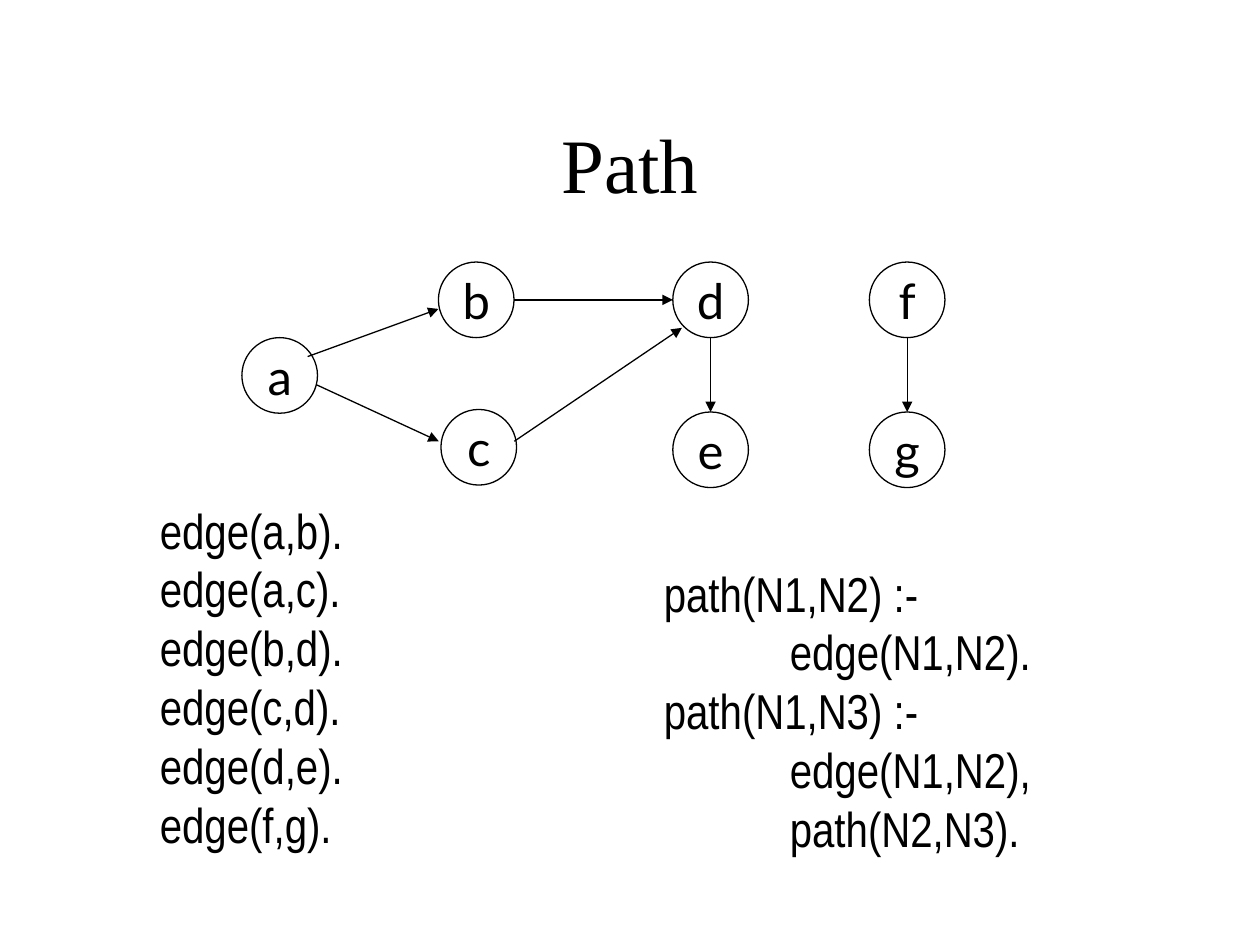
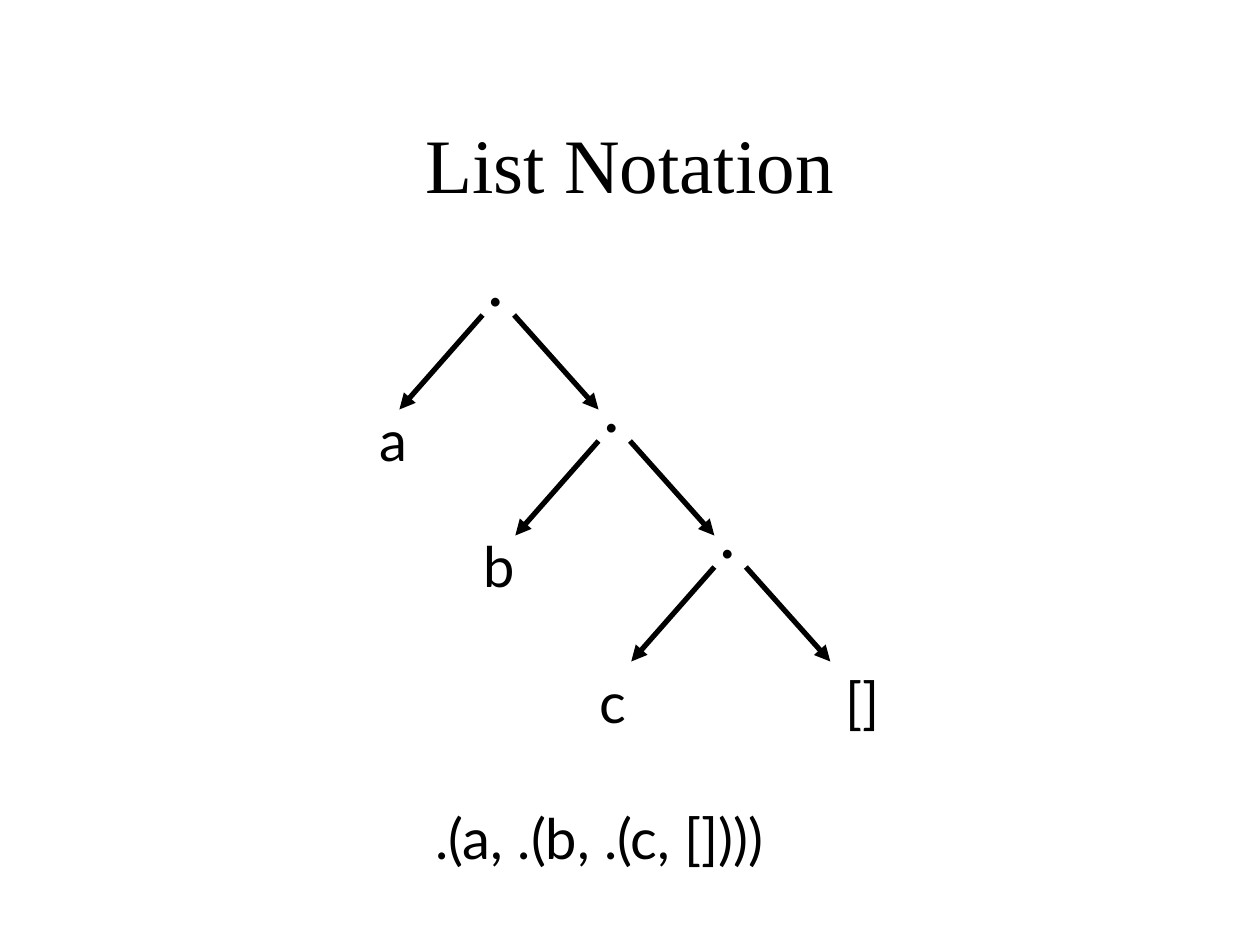
from lxml.etree import SubElement
from pptx import Presentation
from pptx.dml.color import RGBColor
from pptx.enum.shapes import MSO_CONNECTOR, MSO_SHAPE
from pptx.enum.text import MSO_ANCHOR as Anchor, MSO_AUTO_SIZE as AutoSize, PP_ALIGN as Align
from pptx.oxml.ns import qn
from pptx.util import Inches, Pt

INK, PAPER = "000000", "FFFFFF"
SERIF, NARROW, SANS = "Times New Roman", "Arial Narrow", "Lato"
TITLE_BOX = (0.75, 0.67, 8.5, 1.25)

FACTS = ["edge(a,b).", "edge(a,c).", "edge(b,d).", "edge(c,d).", "edge(d,e).", "edge(f,g)."]
RULES = ["path(N1,N2) :-", "\tedge(N1,N2).", "path(N1,N3) :-", "\tedge(N1,N2),", "\tpath(N2,N3)."]

NODE_SIZE = 0.6
NODES = {
    "a": (1.92, 2.68), "b": (3.48, 2.08), "c": (3.5, 3.25), "d": (5.34, 2.08),
    "e": (5.34, 3.27), "f": (6.9, 2.08), "g": (6.9, 3.27),
}
RIGHT, LEFT, BOTTOM, TOP = (1, 0.5), (0, 0.5), (0.5, 1), (0.5, 0)
EDGES = [
    ("a", (0.87, 0.25), "b", (0, 0.62)),
    ("a", (0.98, 0.62), "c", (-0.03, 0.42)),
    ("b", RIGHT, "d", LEFT),
    ("c", (0.97, 0.42), "d", (0.12, 0.87)),
    ("d", BOTTOM, "e", TOP),
    ("f", BOTTOM, "g", TOP),
]

LEVELS = 3
STEP_X, STEP_Y = 0.92, 1
DOT_BOX = (3.76, 1.83, 0.35, 0.77)
BRANCHES = [((3.83, 2.5), (3.17, 3.25)), ((4.08, 2.5), (4.75, 3.25))]
LEAVES = [
    ("a", (2.91, 3.17, 0.45, 0.64)), ("b", (3.74, 4.17, 0.47, 0.64)),
    ("c", (4.66, 5.25, 0.41, 0.64)), ("[]", (6.61, 5.25, 0.49, 0.64)),
]
TERM = ".(a, .(b, .(c, [])))"


def color(code):
    return RGBColor.from_string(code)


def box(lengths):
    return [Inches(length) for length in lengths]


def write(frame, lines, font, size, align=Align.LEFT):
    frame.text = "\n".join(lines)
    for paragraph in frame.paragraphs:
        paragraph.alignment = align
        paragraph.font.name = font
        paragraph.font.size = Pt(size)
        paragraph.font.color.rgb = color(INK)
        paragraph._p.get_or_add_pPr().set("defTabSz", str(Inches(1)))


def add_text(shapes, place, lines, font, size, align=Align.LEFT):
    frame = shapes.add_textbox(*box(place)).text_frame
    frame.word_wrap = False
    frame.auto_size = AutoSize.SHAPE_TO_FIT_TEXT
    write(frame, lines, font, size, align)


def add_arrow(shapes, start, end, width):
    arrow = shapes.add_connector(MSO_CONNECTOR.STRAIGHT, *box(start + end))
    arrow.line.color.rgb = color(INK)
    arrow.line.width = Pt(width)
    SubElement(arrow.line._get_or_add_ln(), qn("a:tailEnd"), type="triangle")
    SubElement(arrow._element.spPr, qn("a:effectLst"))


def add_node(shapes, label, corner):
    node = shapes.add_shape(MSO_SHAPE.OVAL, *box(corner + (NODE_SIZE, NODE_SIZE)))
    node.shadow.inherit = False
    node.fill.solid()
    node.fill.fore_color.rgb = color(PAPER)
    node.line.color.rgb = color(INK)
    node.line.width = Pt(0.75)
    node.text_frame.word_wrap = False
    node.text_frame.vertical_anchor = Anchor.MIDDLE
    write(node.text_frame, [label], SANS, 28, Align.CENTER)


def node_point(label, share):
    return tuple(corner + part * NODE_SIZE for corner, part in zip(NODES[label], share))


def add_titled_slide(deck, heading):
    slide = deck.slides.add_slide(deck.slide_layouts[5])
    title = slide.shapes.title
    title.left, title.top, title.width, title.height = box(TITLE_BOX)
    title.text_frame.vertical_anchor = Anchor.MIDDLE
    write(title.text_frame, [heading], SERIF, 44, Align.CENTER)
    return slide.shapes


def build_path(deck):
    shapes = add_titled_slide(deck, "Path")
    add_text(shapes, (5.17, 4.42, 3.11, 2.44), RULES, NARROW, 28)
    add_text(shapes, (1.17, 3.92, 1.65, 2.9), FACTS, NARROW, 28)
    for label, corner in NODES.items():
        add_node(shapes, label, corner)
    for source, exit_share, target, entry_share in EDGES:
        add_arrow(shapes, node_point(source, exit_share), node_point(target, entry_share), 0.75)


def build_list_notation(deck):
    shapes = add_titled_slide(deck, "List Notation")
    tree = shapes.add_group_shape().shapes
    for level in range(LEVELS):
        def shift(point):
            return point[0] + level * STEP_X, point[1] + level * STEP_Y

        add_text(tree, shift(DOT_BOX) + DOT_BOX[2:], ["."], SANS, 40, Align.CENTER)
        for start, end in BRANCHES:
            add_arrow(tree, shift(start), shift(end), 3)
    for label, place in LEAVES:
        add_text(tree, place, [label], SANS, 32)
    add_text(shapes, (3.36, 6.33, 3.09, 0.64), [TERM], SANS, 32)


def main():
    deck = Presentation()
    deck.slide_width, deck.slide_height = box((10, 7.5))
    build_path(deck)
    build_list_notation(deck)
    deck.save("out.pptx")


if __name__ == "__main__":
    main()
